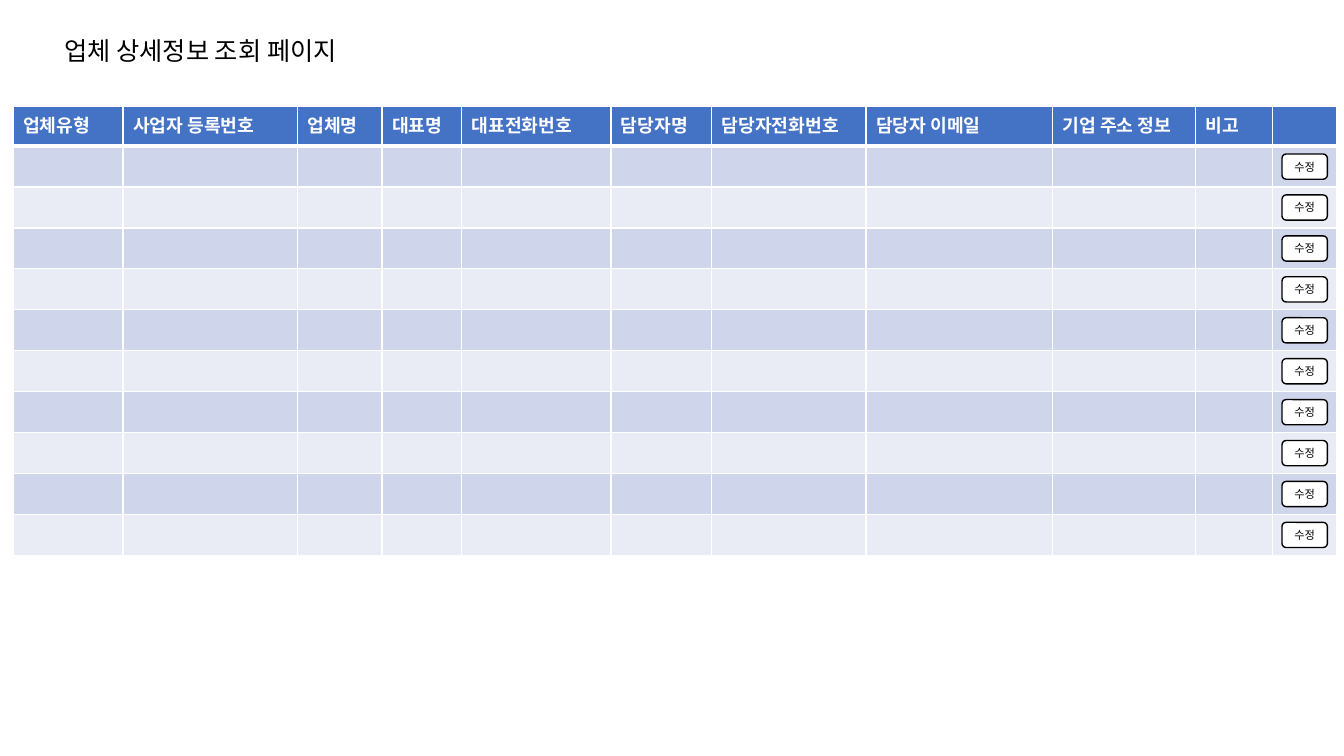
from dataclasses import dataclass

from lxml import etree
from pptx import Presentation
from pptx import util as u
from pptx.dml.color import RGBColor
from pptx.enum import shapes, text
from pptx.oxml import ns

FONT = "Noto Sans CJK KR"
WHITE, BLACK, HEADER_BLUE = "FFFFFF", "000000", "4472C4"
BANDS = ("CFD5EA", "E9EBF5")
BODY_ROWS = 10


@dataclass(frozen=True)
class Column:
    heading: str
    width: float


@dataclass(frozen=True)
class Grid:
    left: float
    top: float
    header_height: float
    row_height: float
    columns: tuple[Column, ...]

    @property
    def width(self) -> float:
        return sum(column.width for column in self.columns)

    @property
    def height(self) -> float:
        return self.header_height + BODY_ROWS * self.row_height

    def last_cell_center(self, row: int) -> tuple[float, float]:
        x = self.left + self.width - self.columns[-1].width / 2
        y = self.top + self.header_height + (row + 0.5) * self.row_height
        return x, y


COMPANIES = Grid(0.13, 1.06, 0.39, (4.45 - 0.39) / BODY_ROWS, (
    Column("업체유형", 1.09),
    Column("사업자 등록번호", 1.73),
    Column("업체명", 0.84),
    Column("대표명", 0.79),
    Column("대표전화번호", 1.48),
    Column("담당자명", 1.0),
    Column("담당자전화번호", 1.53),
    Column("담당자 이메일", 1.85),
    Column("기업 주소 정보", 1.42),
    Column("비고", 0.76),
    Column("", 0.64),
))


def color(value: str) -> RGBColor:
    return RGBColor.from_string(value)


def format_text(paragraph, size: float, ink: str, bold: bool = False) -> None:
    font = paragraph.font
    font.name, font.size, font.bold = FONT, u.Pt(size), bold
    font.color.rgb = color(ink)


def add_border(cell, side: str, points: float) -> None:
    properties = cell._tc.get_or_add_tcPr()
    line = etree.SubElement(properties, ns.qn(f"a:ln{side}"), w=str(u.Pt(points)))
    fill = etree.SubElement(line, ns.qn("a:solidFill"))
    etree.SubElement(fill, ns.qn("a:srgbClr"), val=WHITE)


def format_cell(cell, fill: str, bottom: float = 1, top: float = 1) -> None:
    for side, points in (("L", 1), ("R", 1), ("T", top), ("B", bottom)):
        add_border(cell, side, points)
    cell.fill.solid()
    cell.fill.fore_color.rgb = color(fill)


def add_title(slide, wording: str) -> None:
    title = slide.shapes.title
    title.left, title.top = u.Inches(0.54), u.Inches(0.3)
    title.width, title.height = u.Inches(3.87), u.Inches(0.4)
    frame = title.text_frame
    frame.text = wording
    frame.word_wrap = True
    frame.auto_size = text.MSO_AUTO_SIZE.SHAPE_TO_FIT_TEXT
    frame.vertical_anchor = text.MSO_ANCHOR.TOP
    paragraph = frame.paragraphs[0]
    paragraph.alignment = text.PP_ALIGN.LEFT
    paragraph.line_spacing = 1.0
    format_text(paragraph, 18, BLACK)


def add_company_table(slide, grid: Grid) -> None:
    table = slide.shapes.add_table(
        BODY_ROWS + 1, len(grid.columns), u.Inches(grid.left), u.Inches(grid.top),
        u.Inches(grid.width), u.Inches(grid.height)).table
    for row in table.rows:
        row.height = u.Inches(grid.row_height)
    table.rows[0].height = u.Inches(grid.header_height)

    for index, column in enumerate(grid.columns):
        table.columns[index].width = u.Inches(column.width)
        header = table.cell(0, index)
        header.text = column.heading
        format_cell(header, HEADER_BLUE, bottom=3)
        format_text(header.text_frame.paragraphs[0], 13, WHITE, bold=True)
        for row in range(BODY_ROWS):
            cell = table.cell(row + 1, index)
            format_cell(cell, BANDS[row % 2], top=3 if row == 0 else 1)
            format_text(cell.text_frame.paragraphs[0], 13, BLACK)


def add_edit_button(slide, center_x: float, center_y: float) -> None:
    width, height = 0.45, 0.25
    button = slide.shapes.add_shape(
        shapes.MSO_SHAPE.ROUNDED_RECTANGLE,
        u.Inches(center_x - width / 2), u.Inches(center_y - height / 2),
        u.Inches(width), u.Inches(height))
    button.shadow.inherit = False
    button.fill.solid()
    button.fill.fore_color.rgb = color(WHITE)
    button.line.color.rgb = color(BLACK)
    button.line.width = u.Pt(1)
    frame = button.text_frame
    frame.text = "수정"
    frame.vertical_anchor = text.MSO_ANCHOR.MIDDLE
    paragraph = frame.paragraphs[0]
    paragraph.alignment = text.PP_ALIGN.CENTER
    format_text(paragraph, 8, BLACK)


def main() -> None:
    deck = Presentation()
    deck.slide_width, deck.slide_height = u.Inches(13.33), u.Inches(7.5)
    slide = deck.slides.add_slide(deck.slide_layouts.get_by_name("Title Only"))
    add_title(slide, "업체 상세정보 조회 페이지")
    add_company_table(slide, COMPANIES)
    for row in range(BODY_ROWS):
        add_edit_button(slide, *COMPANIES.last_cell_center(row))
    deck.save("out.pptx")


if __name__ == "__main__":
    main()
